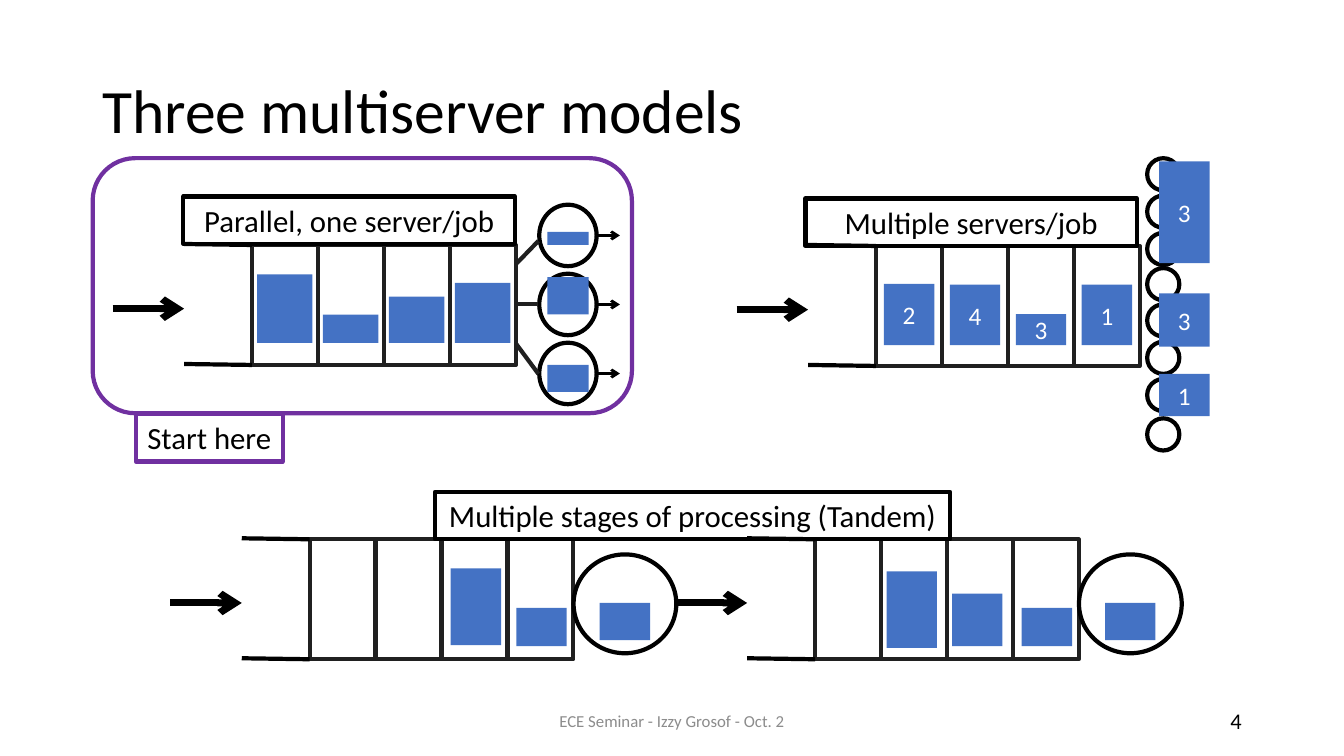
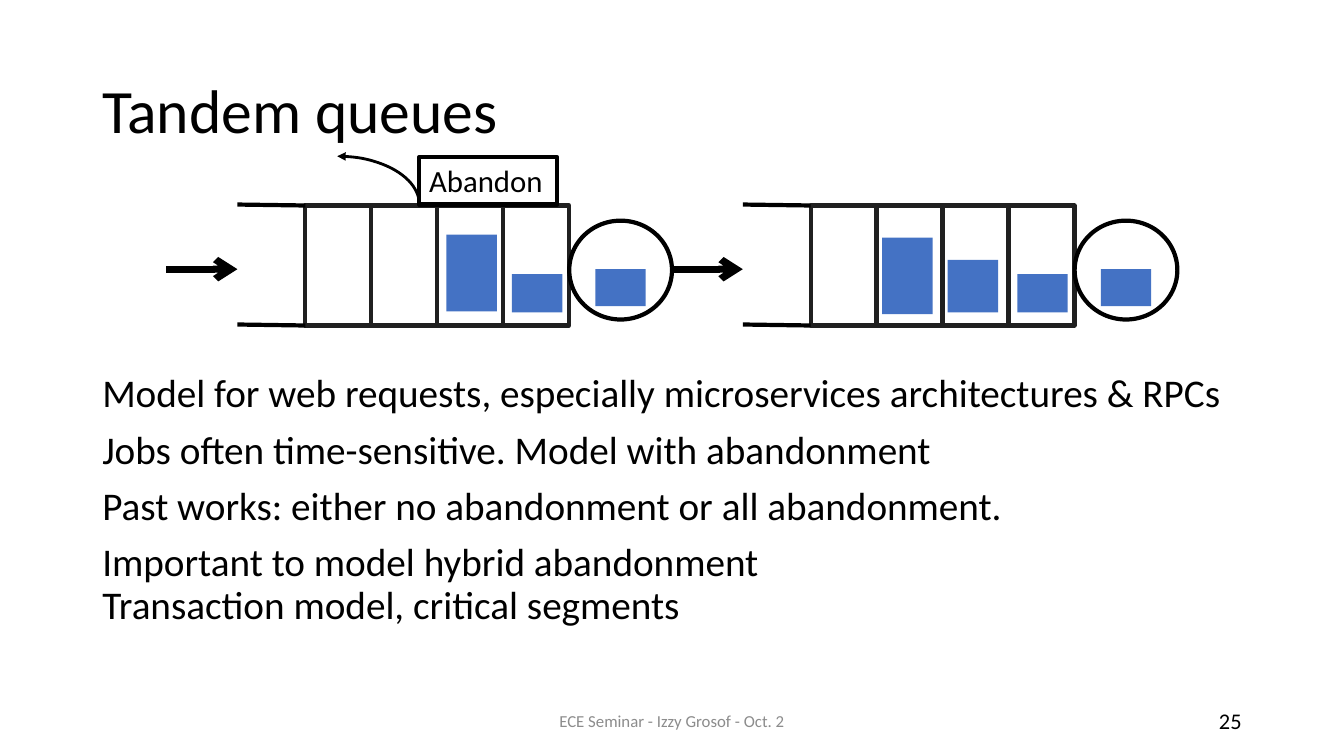
"""Builds two slides on multiserver queueing models."""
from lxml import etree
from pptx import Presentation
from pptx.dml.color import RGBColor
from pptx.enum.shapes import MSO_CONNECTOR, MSO_SHAPE as SHAPE
from pptx.enum.text import MSO_ANCHOR as ANCHOR, PP_ALIGN as ALIGN
from pptx.oxml.ns import qn
from pptx.util import Pt

BLACK = RGBColor(0x00, 0x00, 0x00)
WHITE = RGBColor(0xFF, 0xFF, 0xFF)
INK = RGBColor(0x20, 0x20, 0x20)
GRAY = RGBColor(0x8C, 0x8C, 0x8C)
BLUE = RGBColor(0x44, 0x72, 0xC4)
PURPLE = RGBColor(0x70, 0x30, 0xA0)
FONT = "Calibri"

CELL_STEP = 47.1
CELL_HEIGHT = 85.7
JOB_WIDTH = 36
STAGE_STEP = 361
LABEL_HEIGHT = 33.8


def draw(slide, x, y, width, height, text="", kind=None, fill=None, line=None, weight=3,
         size=22, color=BLACK, align=ALIGN.CENTER, anchor=ANCHOR.MIDDLE, spacing=None, gap=0):
    """Draws a shape, or a text box when no kind is given, with its text."""
    frame = tuple(Pt(v) for v in (x, y, width, height))
    if kind is None:
        shape = slide.shapes.add_textbox(*frame)
    else:
        shape = slide.shapes.add_shape(kind, *frame)
        shape.shadow.inherit = False
        if fill is None:
            shape.fill.background()
        else:
            shape.fill.solid()
            shape.fill.fore_color.rgb = fill
        if line is None:
            shape.line.fill.background()
        else:
            shape.line.color.rgb = line
            shape.line.width = Pt(weight)
    if text:
        body = shape.text_frame
        body.word_wrap = True
        body.vertical_anchor = anchor
        for i, content in enumerate(text.split("\n")):
            paragraph = body.add_paragraph() if i else body.paragraphs[0]
            paragraph.text = content
            paragraph.alignment = align
            paragraph.line_spacing = spacing
            if i:
                paragraph.space_before = Pt(gap)
            for run in paragraph.runs:
                run.font.name, run.font.size = FONT, Pt(size)
                run.font.color.rgb = color
    return shape


def connect(slide, x1, y1, x2, y2, weight=3, color=BLACK, arrow=False):
    """Draws a straight line, with an open arrowhead at its end if asked."""
    link = slide.shapes.add_connector(MSO_CONNECTOR.STRAIGHT, Pt(x1), Pt(y1), Pt(x2), Pt(y2))
    link.line.color.rgb = color
    link.line.width = Pt(weight)
    if arrow:
        etree.SubElement(link.get_or_add_ln(), qn("a:tailEnd"), type="arrow")
    etree.SubElement(link._element.spPr, qn("a:effectLst"))


prs = Presentation()
prs.slide_width, prs.slide_height = Pt(960), Pt(540)

slides = []
for title, number in (("Three multiserver models", "4"), ("Tandem queues", "25")):
    slide = prs.slides.add_slide(prs.slide_layouts[6])
    draw(slide, 66, 28.8, 828, 104.4, title, size=44, align=ALIGN.LEFT, spacing=0.9)
    draw(slide, 318, 500.5, 324, 28.8, "ECE Seminar - Izzy Grosof - Oct. 2", size=12, color=GRAY)
    draw(slide, 678, 500.5, 216, 28.8, number, size=16, align=ALIGN.RIGHT)
    slides.append(slide)
models, tandem = slides

tandem_rows = [(models, 221.2, 385.2), (tandem, 218.1, 146.8)]
queues = [(models, 180, 175), (models, 625.7, 175.7)]
queues += [(slide, x + STAGE_STEP * stage, y) for slide, x, y in tandem_rows for stage in range(2)]
for slide, x, y in queues:
    for i in range(4):
        draw(slide, x + CELL_STEP * i, y, CELL_STEP, CELL_HEIGHT,
             kind=SHAPE.RECTANGLE, fill=WHITE, line=INK)
    for edge in (y, y + CELL_HEIGHT):
        connect(slide, x - 48.5, edge - 0.7, x, edge)
    connect(slide, x - 99.5, y + 45.5, x - 48.5, y + 45.5, weight=5, arrow=True)

for i, height in enumerate((49, 20.2, 33.1, 42.9)):
    draw(models, 183.6 + CELL_STEP * i, 245 - height, 39.6, height, kind=SHAPE.RECTANGLE, fill=BLUE)
parallel_servers = ((165.6, 9.4, 188.6, 172.1), (198, 26.6, 217.4, 217.4), (260.6, 19.4, 245.5, 267.1))
for i, (job_top, job_height, exit_y, entry_y) in enumerate(parallel_servers):
    server_top = 146.2 + 49.3 * i
    draw(models, 385.2, server_top, 41, 43.9, kind=SHAPE.OVAL, fill=WHITE, line=BLACK)
    draw(models, 391, job_top, 29.5, job_height, kind=SHAPE.RECTANGLE, fill=BLUE)
    connect(models, 368.6, exit_y, 384.6, entry_y, color=INK)
    connect(models, 426.2, server_top + 22, 442.8, server_top + 22, weight=2, arrow=True)

for server_top in (113, 139.7, 166.3, 191.5, 217.4, 244.1, 270.7, 298.8):
    draw(models, 819.4, server_top, 23, 23, kind=SHAPE.OVAL, fill=WHITE, line=BLACK)
numbered_jobs = [(631.4 + CELL_STEP * i, 246.6 - height, height, need)
                 for i, (need, height) in enumerate((("2", 43.9), ("4", 43.2), ("3", 22.3), ("1", 43.2)))]
numbered_jobs += [(828, 115.2, 72.7, "3"), (828, 209.5, 38.2, "3"), (828, 267.1, 30.2, "1")]
for x, y, height, need in numbered_jobs:
    draw(models, x, y, JOB_WIDTH, height, need, kind=SHAPE.RECTANGLE, fill=BLUE, size=18, color=WHITE)

stage_jobs = (
    ((100.8, 20.9, 54.7), (147.6, 49, 27.4), (207.2, 45.4, 26.6)),
    ((51.1, 23, 54.7), (97.9, 38.9, 37.4), (147.6, 49, 27.4), (207.2, 45.4, 26.6)),
)
for slide, left, top in tandem_rows:
    for stage, jobs in enumerate(stage_jobs):
        x = left + STAGE_STEP * stage
        draw(slide, x + 188.5, top + 10.8, 73.4, 70.6, kind=SHAPE.OVAL, fill=WHITE, line=BLACK)
        for dx, dy, height in jobs:
            draw(slide, x + dx, top + dy, JOB_WIDTH, height, kind=SHAPE.RECTANGLE, fill=BLUE)

draw(models, 66.2, 113, 385.2, 182.2, kind=SHAPE.ROUNDED_RECTANGLE, line=PURPLE)
for slide, x, y, width, label, outline in (
        (models, 131, 140.4, 236.9, "Parallel, one server/job", BLACK),
        (models, 575.3, 141.8, 236.9, "Multiple servers/job", BLACK),
        (models, 310.7, 351.4, 368, "Multiple stages of processing (Tandem)", BLACK),
        (models, 97, 295.9, 105, "Start here", PURPLE),
        (tandem, 299.5, 112.3, 98.6, "Abandon", BLACK)):
    draw(slide, x, y, width, LABEL_HEIGHT, label, kind=SHAPE.RECTANGLE, line=outline,
         anchor=ANCHOR.TOP, align=ALIGN.LEFT if slide is tandem else ALIGN.CENTER)

abandon_path = draw(tandem, 182.2, 111.6, 117.4, 69.1, kind=SHAPE.ARC, line=BLACK, weight=2)
etree.SubElement(abandon_path.get_or_add_ln(), qn("a:headEnd"), type="triangle")

points = "\n".join((
    "Model for web requests, especially microservices architectures & RPCs",
    "Jobs often time-sensitive. Model with abandonment",
    "Past works: either no abandonment or all abandonment.",
    "Important to model hybrid abandonment\vTransaction model, critical segments",
))
draw(tandem, 66, 263.5, 828, 222.5, points, size=28, align=ALIGN.LEFT,
     anchor=ANCHOR.TOP, spacing=0.9, gap=10)

prs.save("out.pptx")
